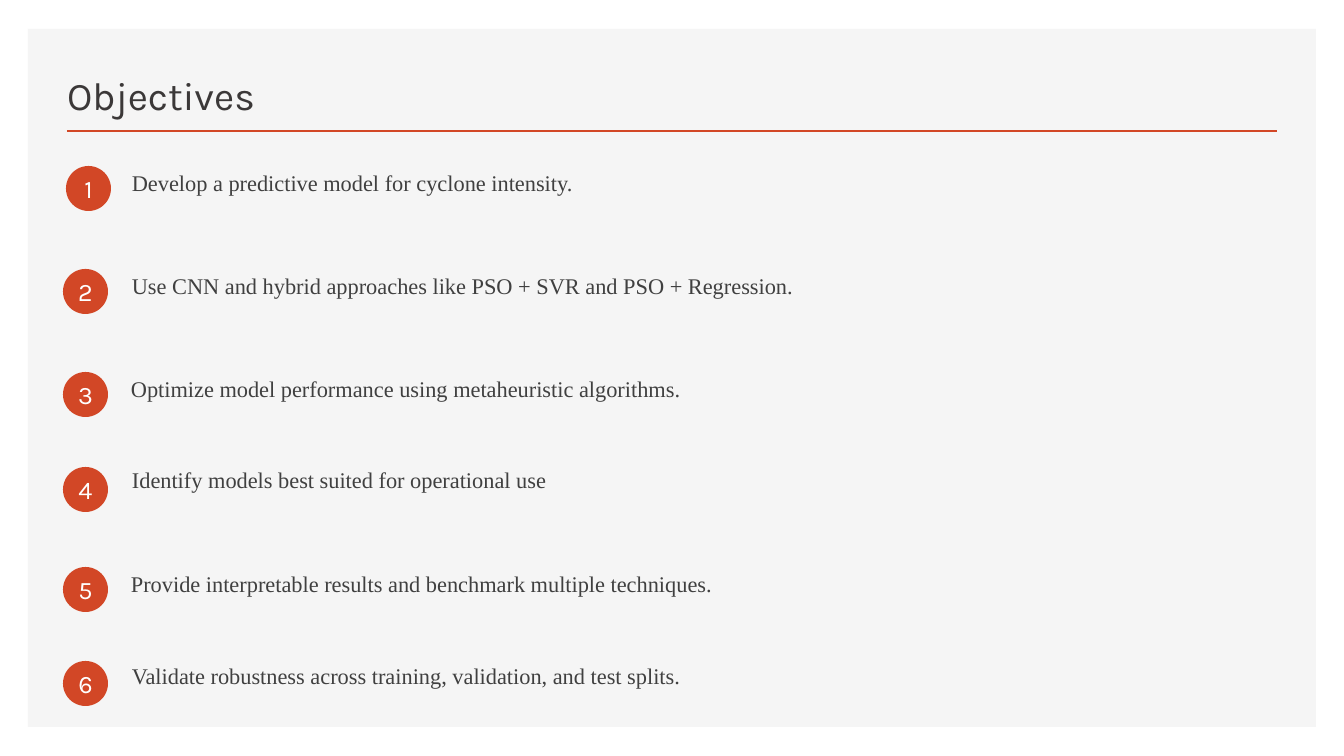
from dataclasses import dataclass

from lxml import etree
from pptx import Presentation
from pptx import util as u
from pptx.dml.color import RGBColor
from pptx.enum import shapes, text
from pptx.oxml.ns import qn

TITLE = "Objectives"
OBJECTIVES = [
    ("Develop a predictive model for cyclone intensity.", (66, 166), (122, 166, 851, 45)),
    ("Use CNN and hybrid approaches like PSO + SVR and PSO + Regression.",
     (63, 269), (122, 269, 961, 45)),
    ("Optimize model performance using metaheuristic algorithms.",
     (63, 372), (121, 372, 949, 49)),
    ("Identify models best suited for operational use", (63, 467), (122, 463, 1002, 48)),
    ("Provide interpretable results and benchmark multiple techniques.",
     (63, 567), (121, 567, 930, 59)),
    ("Validate robustness across training, validation, and test splits.",
     (63, 661), (122, 659, 1002, 48)),
]
SLIDE = (1344, 756)
PANEL = (28, 29, 1288, 698)
TITLE_BOX = (57, 49, 758, 71)
RULE = (67, 131, 1277, 131)
BADGE = 45


@dataclass(frozen=True)
class Theme:
    panel: str = "F5F5F5"
    accent: str = "D24726"
    title: str = "3B3838"
    body: str = "404040"
    white: str = "FFFFFF"
    heading_font: str = "Karla"
    body_font: str = "Times New Roman"
    title_size: int = 28
    badge_size: int = 18
    body_size: int = 16


THEME = Theme()


def px(*lengths):
    return [u.Emu(round(n * 914400 / 100.8)) for n in lengths]


def style(p, font, size, color):
    p.font.name = font
    p.font.size = u.Pt(size)
    p.font.color.rgb = RGBColor.from_string(color)


def add_filled(s, kind, box, color):
    sp = s.shapes.add_shape(kind, *px(*box))
    sp.shadow.inherit = False
    sp.fill.solid()
    sp.fill.fore_color.rgb = RGBColor.from_string(color)
    sp.line.fill.background()
    return sp


def add_title(s):
    sp = s.shapes.title
    s.shapes._spTree.append(sp._element)
    sp.left, sp.top, sp.width, sp.height = px(*TITLE_BOX)
    tf = sp.text_frame
    tf.text = TITLE
    tf.auto_size = text.MSO_AUTO_SIZE.NONE
    tf.vertical_anchor = text.MSO_ANCHOR.BOTTOM
    tf.margin_bottom = px(2)[0]
    p = tf.paragraphs[0]
    p.alignment = text.PP_ALIGN.LEFT
    style(p, THEME.heading_font, THEME.title_size, THEME.title)


def add_rule(s):
    rule = s.shapes.add_connector(shapes.MSO_CONNECTOR.STRAIGHT, *px(*RULE))
    rule.line.color.rgb = RGBColor.from_string(THEME.accent)
    rule.line.width = u.Pt(2)
    etree.SubElement(rule._element.spPr, qn("a:effectLst"))


def add_badge(s, number, corner):
    sp = add_filled(s, shapes.MSO_SHAPE.OVAL, (*corner, BADGE, BADGE), THEME.accent)
    tf = sp.text_frame
    tf.margin_left = tf.margin_right = tf.margin_top = tf.margin_bottom = 0
    tf.word_wrap = False
    tf.vertical_anchor = text.MSO_ANCHOR.MIDDLE
    p = tf.paragraphs[0]
    p.text = str(number)
    p.alignment = text.PP_ALIGN.CENTER
    style(p, THEME.heading_font, THEME.badge_size, THEME.white)


def add_objective(s, wording, box):
    tf = s.shapes.add_textbox(*px(*box)).text_frame
    tf.word_wrap = True
    p = tf.paragraphs[0]
    p.text = wording
    p.line_spacing = u.Pt(18)
    p.space_before = p.space_after = u.Pt(10)
    style(p, THEME.body_font, THEME.body_size, THEME.body)


def main():
    prs = Presentation()
    prs.slide_width, prs.slide_height = px(*SLIDE)
    s = prs.slides.add_slide(prs.slide_layouts[5])
    add_filled(s, shapes.MSO_SHAPE.RECTANGLE, PANEL, THEME.panel)
    add_rule(s)
    add_title(s)
    for number, (wording, corner, box) in enumerate(OBJECTIVES, 1):
        add_badge(s, number, corner)
        add_objective(s, wording, box)
    prs.save("out.pptx")


if __name__ == "__main__":
    main()
